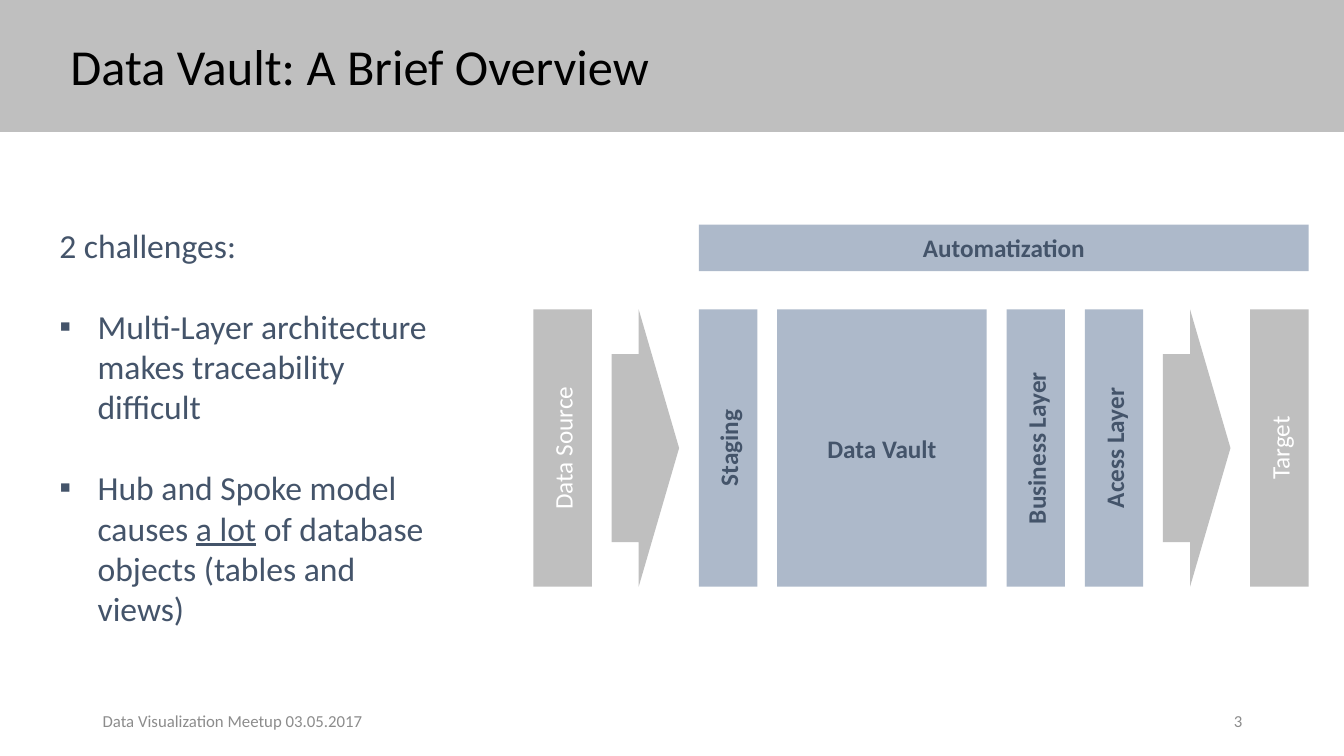
from lxml.etree import SubElement
from pptx import Presentation
from pptx.dml.color import RGBColor
from pptx.enum.shapes import MSO_SHAPE
from pptx.enum.text import MSO_ANCHOR, PP_ALIGN
from pptx.oxml.ns import qn
from pptx.util import Inches, Pt

FONT = "Calibri"
GREY, BLUE, NAVY, WHITE, BLACK, FOOTER = (
    "BFBFBF", "ADB9CA", "44546A", "FFFFFF", "000000", "8C8C8C")

TITLE = "Data Vault: A Brief Overview"
INTRO = "2 challenges:"
# Each challenge is a list of (text, underlined) spans.
CHALLENGES = [
    [("Multi-Layer architecture makes traceability difficult", False)],
    [("Hub and Spoke model causes ", False), ("a lot", True),
     (" of database objects (tables and views)", False)],
]
# Stages from left to right: label (None for an arrow), width, fill
STAGES = [
    ("Data Source", 0.58, GREY),
    (None, 0.67, GREY),
    ("Staging", 0.58, BLUE),
    ("Data Vault", 2.08, BLUE),
    ("Business Layer", 0.58, BLUE),
    ("Acess Layer", 0.58, BLUE),
    (None, 0.67, GREY),
    ("Target", 0.58, GREY),
]
AUTOMATION = "Automatization"
FOOTERS = [(9.42, "3", PP_ALIGN.RIGHT),
           (0.92, "Data Visualization Meetup 03.05.2017", PP_ALIGN.LEFT)]

FLOW_LEFT, FLOW_RIGHT, FLOW_TOP, FLOW_HEIGHT = 5.29, 12.98, 3.07, 2.75
GAP = (FLOW_RIGHT - FLOW_LEFT - sum(width for _, width, _ in STAGES)) / (len(STAGES) - 1)
BULLET_INDENT = 0.38

deck = Presentation()
deck.slide_width, deck.slide_height = Inches(13.33), Inches(7.5)
page = deck.slides.add_slide(deck.slide_layouts[6])


def color(value):
    return RGBColor.from_string(value)


def style(para, size, ink, bold=False, align=PP_ALIGN.LEFT):
    para.alignment = align
    para.font.name, para.font.size, para.font.bold = FONT, Pt(size), bold
    para.font.color.rgb = color(ink)


def add_block(kind, left, top, width, height, fill):
    block = page.shapes.add_shape(
        kind, Inches(left), Inches(top), Inches(width), Inches(height))
    block.shadow.inherit = False
    block.fill.solid()
    block.fill.fore_color.rgb = color(fill)
    block.line.fill.background()
    return block


def add_label(block, text, fill):
    """Centre a label in a block, turned upwards if the block is narrow."""
    frame = block.text_frame
    frame.vertical_anchor = MSO_ANCHOR.MIDDLE
    if block.width < Inches(1):
        block.element.txBody.find(qn("a:bodyPr")).set("vert", "vert270")
    para = frame.paragraphs[0]
    para.text = text
    on_blue = fill == BLUE
    style(para, 18, NAVY if on_blue else WHITE, on_blue, PP_ALIGN.CENTER)


def add_text_box(left, top, width, height):
    box = page.shapes.add_textbox(
        Inches(left), Inches(top), Inches(width), Inches(height))
    box.text_frame.word_wrap = True
    return box.text_frame


def add_bullet(para):
    properties = para._p.get_or_add_pPr()
    properties.set("marL", str(Inches(BULLET_INDENT)))
    properties.set("indent", str(-Inches(BULLET_INDENT)))
    SubElement(properties, qn("a:buFont")).set("typeface", "Arial")
    SubElement(properties, qn("a:buChar")).set("char", "▪")


# Title band
add_block(MSO_SHAPE.RECTANGLE, 0, 0, 13.33, 1.31, GREY)
title = add_text_box(0.6, 0.3, 6.81, 0.71).paragraphs[0]
title.text = TITLE
style(title, 36, BLACK)

# Layer flow, with the automation bar above the stages from Staging to Target
lefts = {}
left = FLOW_LEFT
for label, width, fill in STAGES:
    kind = MSO_SHAPE.RECTANGLE if label else MSO_SHAPE.RIGHT_ARROW
    stage = add_block(kind, left, FLOW_TOP, width, FLOW_HEIGHT, fill)
    if label:
        add_label(stage, label, fill)
        lefts[label] = left
    else:
        stage.adjustments[0], stage.adjustments[1] = 0.678, 0.598
    left += width + GAP

bar = add_block(MSO_SHAPE.RECTANGLE, lefts["Staging"], 2.23,
                FLOW_RIGHT - lefts["Staging"], 0.46, BLUE)
add_label(bar, AUTOMATION, BLUE)

# Challenges
frame = add_text_box(0.49, 2.18, 4.04, 4.14)
intro = frame.paragraphs[0]
intro.text = INTRO
style(intro, 24, NAVY)
for spans in CHALLENGES:
    para = frame.add_paragraph()
    style(para, 24, NAVY)
    para.space_before = Pt(29)
    add_bullet(para)
    for text, underlined in spans:
        span = para.add_run()
        span.text = text
        if underlined:
            span.font.underline = True

# Footer
for left, text, align in FOOTERS:
    frame = add_text_box(left, 6.95, 3, 0.4)
    frame.vertical_anchor = MSO_ANCHOR.MIDDLE
    frame.paragraphs[0].text = text
    style(frame.paragraphs[0], 12, FOOTER, align=align)

deck.save("out.pptx")
